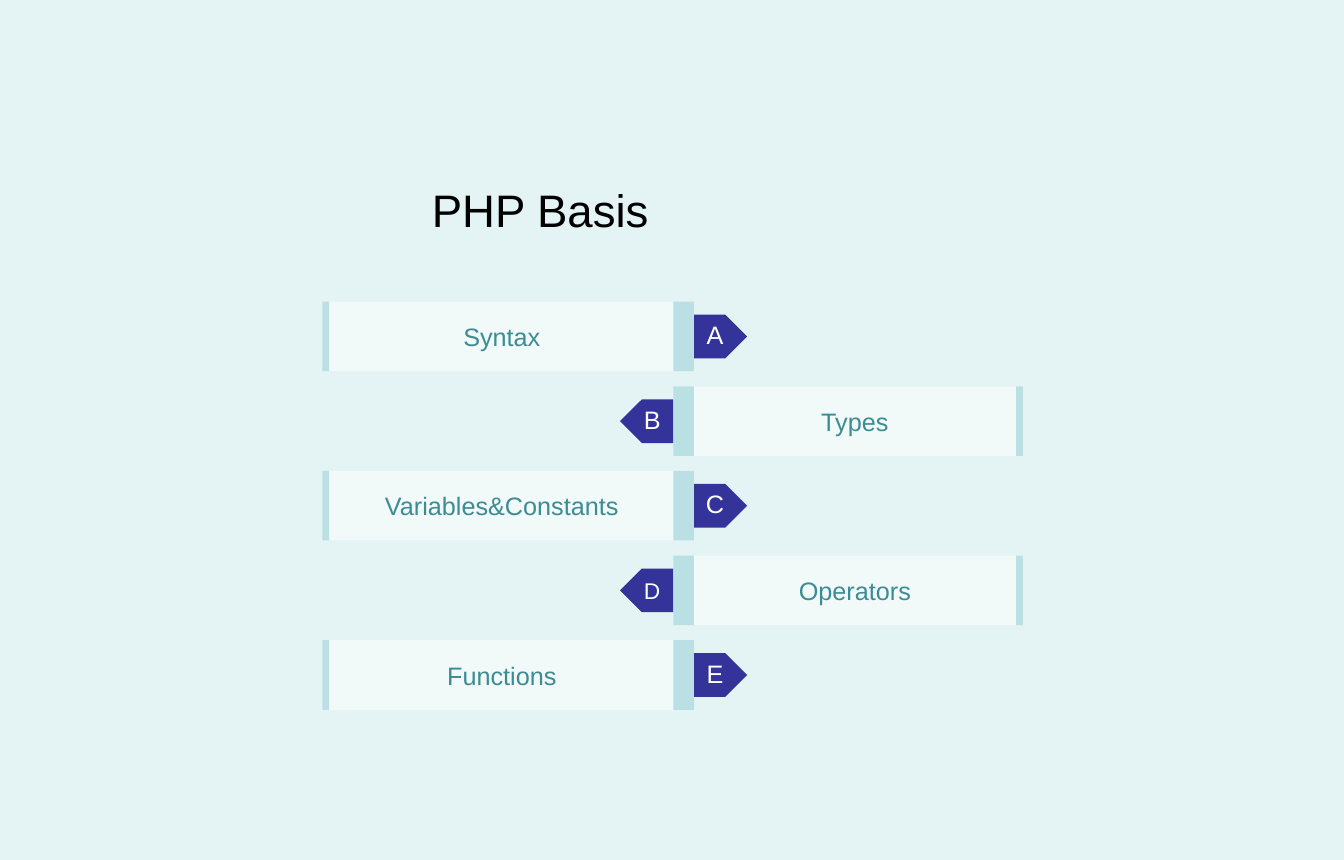
import dataclasses

import pptx
import pptx.dml.color
import pptx.enum.shapes
import pptx.enum.text
import pptx.util

Inches = pptx.util.Inches
Preset = pptx.enum.shapes.MSO_SHAPE


@dataclasses.dataclass(frozen=True)
class Theme:
    font: str = "Arial"
    background: str = "E4F3F4"
    panel: str = "F1F9F9"
    edge: str = "BBE0E3"
    tag: str = "333399"
    title_text: str = "000000"
    panel_text: str = "3C8C93"
    tag_text: str = "FEFFFF"
    title_size: float = 24
    body_size: float = 13.3
    small_size: float = 12


def paint(fill, colour):
    fill.solid()
    fill.fore_color.rgb = pptx.dml.color.RGBColor.from_string(colour)


class Agenda:
    ROW_HEIGHT = 0.51
    SPINE_LEFT, SPINE_RIGHT = 4.93, 5.08
    EDGE_WIDTH = 0.05
    TAG_WIDTH, TAG_HEIGHT = 0.39, 0.32

    def __init__(self, deck, theme):
        self.theme = theme
        self.page = deck.slides.add_slide(deck.slide_layouts[5])
        paint(self.page.background.fill, theme.background)

    def label(self, shape, text, size, colour, spacing=1.0):
        """Put one centred line of text in a shape."""
        frame = shape.text_frame
        frame.word_wrap = True
        frame.auto_size = pptx.enum.text.MSO_AUTO_SIZE.NONE
        frame.vertical_anchor = pptx.enum.text.MSO_ANCHOR.MIDDLE
        frame.margin_left = frame.margin_right = 0
        frame.margin_top = frame.margin_bottom = 0
        para = frame.paragraphs[0]
        para.alignment = pptx.enum.text.PP_ALIGN.CENTER
        para.line_spacing = spacing
        para.space_before = pptx.util.Pt(0)
        span = para.add_run()
        span.text = text
        span.font.name = self.theme.font
        span.font.size = pptx.util.Pt(size)
        paint(span.font.fill, colour)

    def title(self, text, left, top, width, height):
        box = self.page.shapes.title
        box.left, box.top = Inches(left), Inches(top)
        box.width, box.height = Inches(width), Inches(height)
        self.label(box, text, self.theme.title_size, self.theme.title_text, 1.5)

    def block(self, group, preset, left, top, width, height, colour):
        shape = group.shapes.add_shape(
            preset, Inches(left), Inches(top), Inches(width), Inches(height))
        shape.shadow.inherit = False
        paint(shape.fill, colour)
        shape.line.fill.background()
        return shape

    def row(self, topic, letter, top, on_left, letter_size):
        """Draw a panel on one side of the spine and its tag on the other."""
        theme, height = self.theme, self.ROW_HEIGHT
        if on_left:
            panel_left, panel_width = 2.41, 2.53
            edge_left = panel_left - self.EDGE_WIDTH
            tag_left = self.SPINE_RIGHT
        else:
            panel_left, panel_width = self.SPINE_RIGHT, 2.36
            edge_left = panel_left + panel_width
            tag_left = self.SPINE_LEFT - self.TAG_WIDTH
        group = self.page.shapes.add_group_shape()
        panel = self.block(group, Preset.RECTANGLE, panel_left, top,
                           panel_width, height, theme.panel)
        self.label(panel, topic, theme.body_size, theme.panel_text)
        tag_top = top + (height - self.TAG_HEIGHT) / 2
        tag = self.block(group, Preset.PENTAGON, tag_left, tag_top,
                         self.TAG_WIDTH, self.TAG_HEIGHT, theme.tag)
        if not on_left:
            tag._element.spPr.xfrm.set("flipH", "1")
        spacing = 0.9 if letter_size == theme.body_size else 1.0
        self.label(tag, letter, letter_size, theme.tag_text, spacing)
        self.block(group, Preset.RECTANGLE, edge_left, top,
                   self.EDGE_WIDTH, height, theme.edge)
        self.block(group, Preset.RECTANGLE, self.SPINE_LEFT, top,
                   self.SPINE_RIGHT - self.SPINE_LEFT, height, theme.edge)


def main():
    deck = pptx.Presentation()
    deck.slide_width, deck.slide_height = Inches(9.84), Inches(6.3)
    theme = Theme()
    agenda = Agenda(deck, theme)
    agenda.title("PHP Basis", 2.43, 1.2, 3.05, 0.47)
    topics = ["Syntax", "Types", "Variables&Constants", "Operators", "Functions"]
    for index, (topic, letter) in enumerate(zip(topics, "ABCDE")):
        size = theme.small_size if letter == "D" else theme.body_size
        agenda.row(topic, letter, 2.21 + 0.62 * index, index % 2 == 0, size)
    deck.save("out.pptx")


if __name__ == "__main__":
    main()
